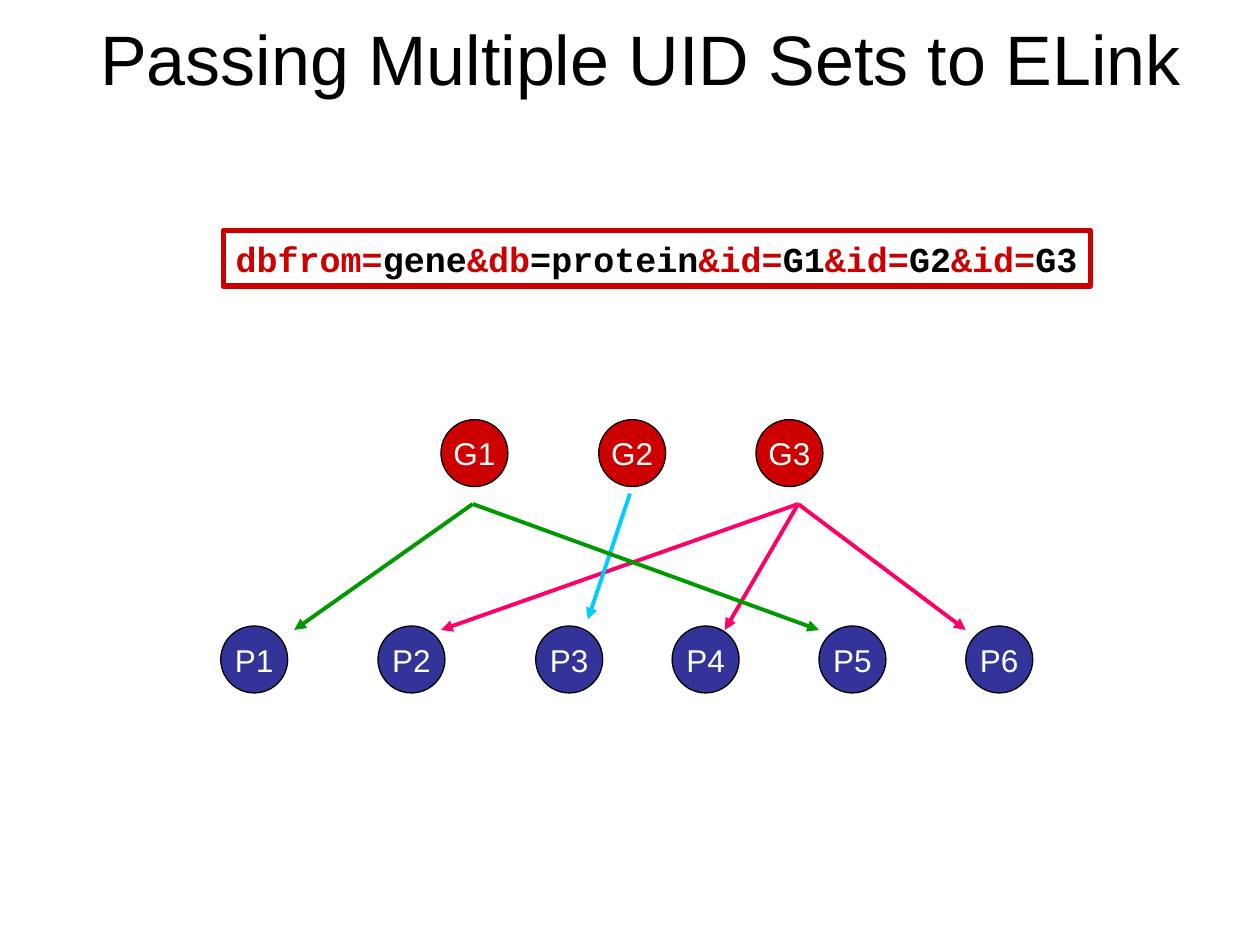
import pptx
import pptx.dml.color
import pptx.enum.shapes
import pptx.enum.text
import pptx.oxml
import pptx.oxml.ns
import pptx.util

Cm = pptx.util.Cm
Pt = pptx.util.Pt
RGBColor = pptx.dml.color.RGBColor
MSO_SHAPE = pptx.enum.shapes.MSO_SHAPE
PP_ALIGN = pptx.enum.text.PP_ALIGN

BLACK = RGBColor(0x00, 0x00, 0x00)
WHITE = RGBColor(0xFF, 0xFF, 0xFF)
RED = RGBColor(0xCC, 0x00, 0x00)
BLUE = RGBColor(0x33, 0x33, 0x99)
GREEN = RGBColor(0x00, 0x99, 0x00)
PINK = RGBColor(0xFF, 0x00, 0x66)
CYAN = RGBColor(0x00, 0xCC, 0xFF)

TITLE_FORMAT = {"name": "Arial", "size": Pt(40)}
NODE_FORMAT = {"name": "Arial", "size": Pt(18)}
CODE_FORMAT = {"name": "Courier New", "size": Pt(20), "bold": True}


def write_text(shape, pieces, font_format, alignment, wrap):
    """Fill the first paragraph with (text, color) runs."""
    frame = shape.text_frame
    frame.word_wrap = wrap
    frame.vertical_anchor = pptx.enum.text.MSO_ANCHOR.MIDDLE
    paragraph = frame.paragraphs[0]
    paragraph.alignment = alignment
    for text, color in pieces:
        run = paragraph.add_run()
        run.text = text
        for attribute, value in font_format.items():
            setattr(run.font, attribute, value)
        run.font.color.rgb = color


presentation = pptx.Presentation()
presentation.slide_width = Cm(25.4)
presentation.slide_height = Cm(19.05)
slide = presentation.slides.add_slide(presentation.slide_layouts[6])

# Title
title = slide.shapes.add_textbox(Cm(1.48), Cm(0), Cm(22.86), Cm(2.31))
write_text(title, [("Passing Multiple UID Sets to ELink", BLACK)],
           TITLE_FORMAT, PP_ALIGN.CENTER, True)

# Gene and protein nodes: prefix, fill, top, left edges
node_rows = [
    ("G", RED, 8.46, [8.89, 12.07, 15.24]),
    ("P", BLUE, 12.62, [4.45, 7.62, 10.8, 13.55, 16.51, 19.47]),
]
for prefix, fill_color, top, left_edges in node_rows:
    for number, left in enumerate(left_edges, start=1):
        node = slide.shapes.add_shape(
            MSO_SHAPE.OVAL, Cm(left), Cm(top), Cm(1.35), Cm(1.35))
        node.shadow.inherit = False
        node.fill.solid()
        node.fill.fore_color.rgb = fill_color
        node.line.color.rgb = BLACK
        node.line.width = Pt(0.75)
        write_text(node, [(f"{prefix}{number}", WHITE)],
                   NODE_FORMAT, PP_ALIGN.CENTER, False)

# Query string box
query_box = slide.shapes.add_shape(
    MSO_SHAPE.RECTANGLE, Cm(4.5), Cm(4.65), Cm(17.48), Cm(1.12))
query_box.shadow.inherit = False
query_box.fill.background()
query_box.line.color.rgb = RED
query_box.line.width = Pt(3)
query_pieces = [("dbfrom=", RED), ("gene", BLACK), ("&db", RED), ("=protein", BLACK)]
for gene in ("G1", "G2", "G3"):
    query_pieces += [("&id=", RED), (gene, BLACK)]
write_text(query_box, query_pieces, CODE_FORMAT, PP_ALIGN.LEFT, False)

# Arrows from genes to proteins
gene_1, gene_2, gene_3 = (9.53, 10.16), (12.7, 9.95), (16.09, 10.16)
links = [
    (gene_1, (5.93, 12.7), GREEN),
    (gene_3, (8.89, 12.7), PINK),
    (gene_2, (11.85, 12.49), CYAN),
    (gene_3, (14.61, 12.7), PINK),
    (gene_1, (16.51, 12.7), GREEN),
    (gene_3, (19.47, 12.7), PINK),
]
for start, end, color in links:
    arrow = slide.shapes.add_connector(
        pptx.enum.shapes.MSO_CONNECTOR.STRAIGHT,
        *(Cm(value) for value in start + end))
    arrow.line.color.rgb = color
    arrow.line.width = Pt(2.25)
    head = pptx.oxml.parse_xml(
        f'<a:tailEnd {pptx.oxml.ns.nsdecls("a")} type="triangle"/>')
    arrow.line._get_or_add_ln().append(head)
    properties = arrow._element.spPr
    properties.append(pptx.oxml.parse_xml(
        f'<a:effectLst {pptx.oxml.ns.nsdecls("a")}/>'))

presentation.save("out.pptx")
